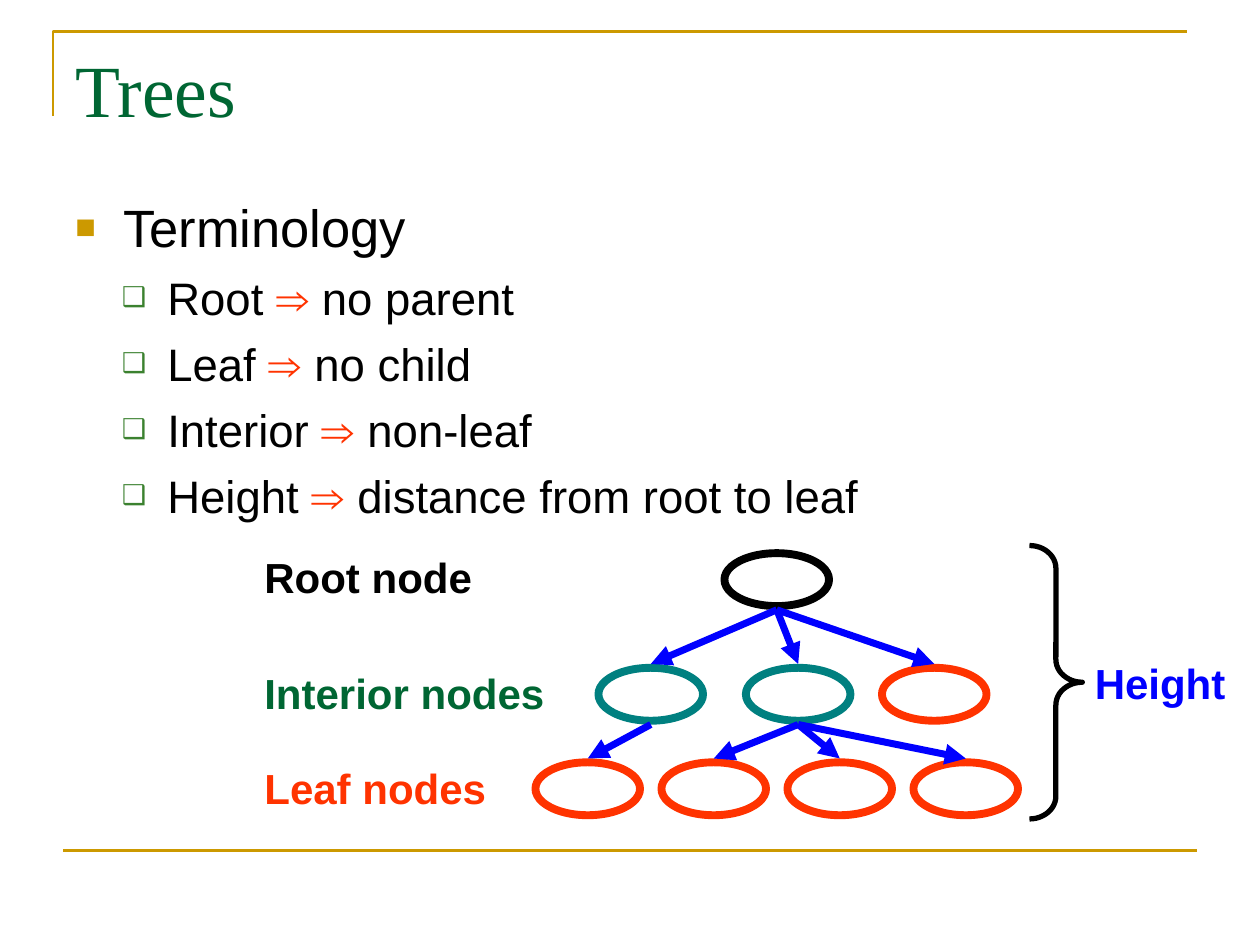
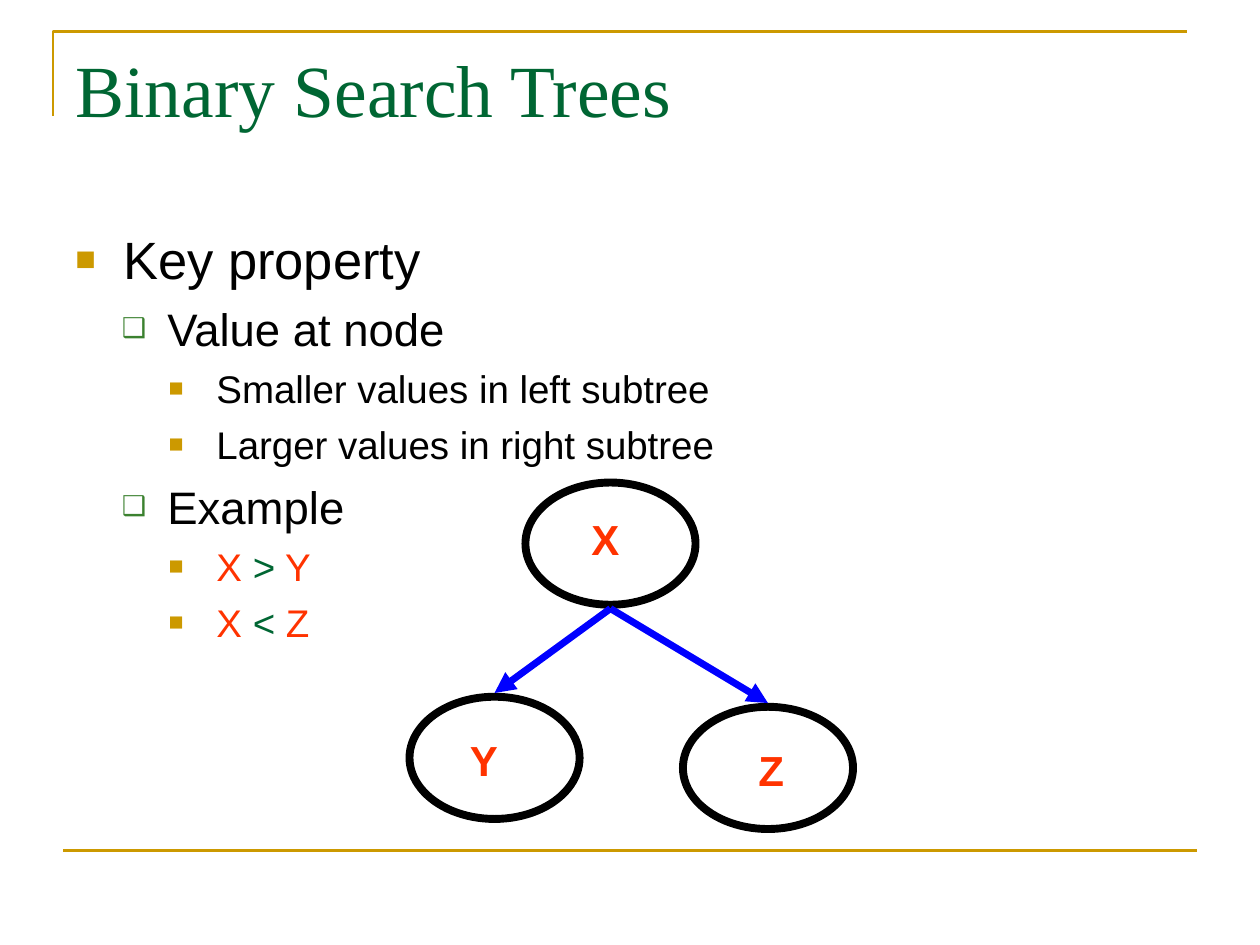
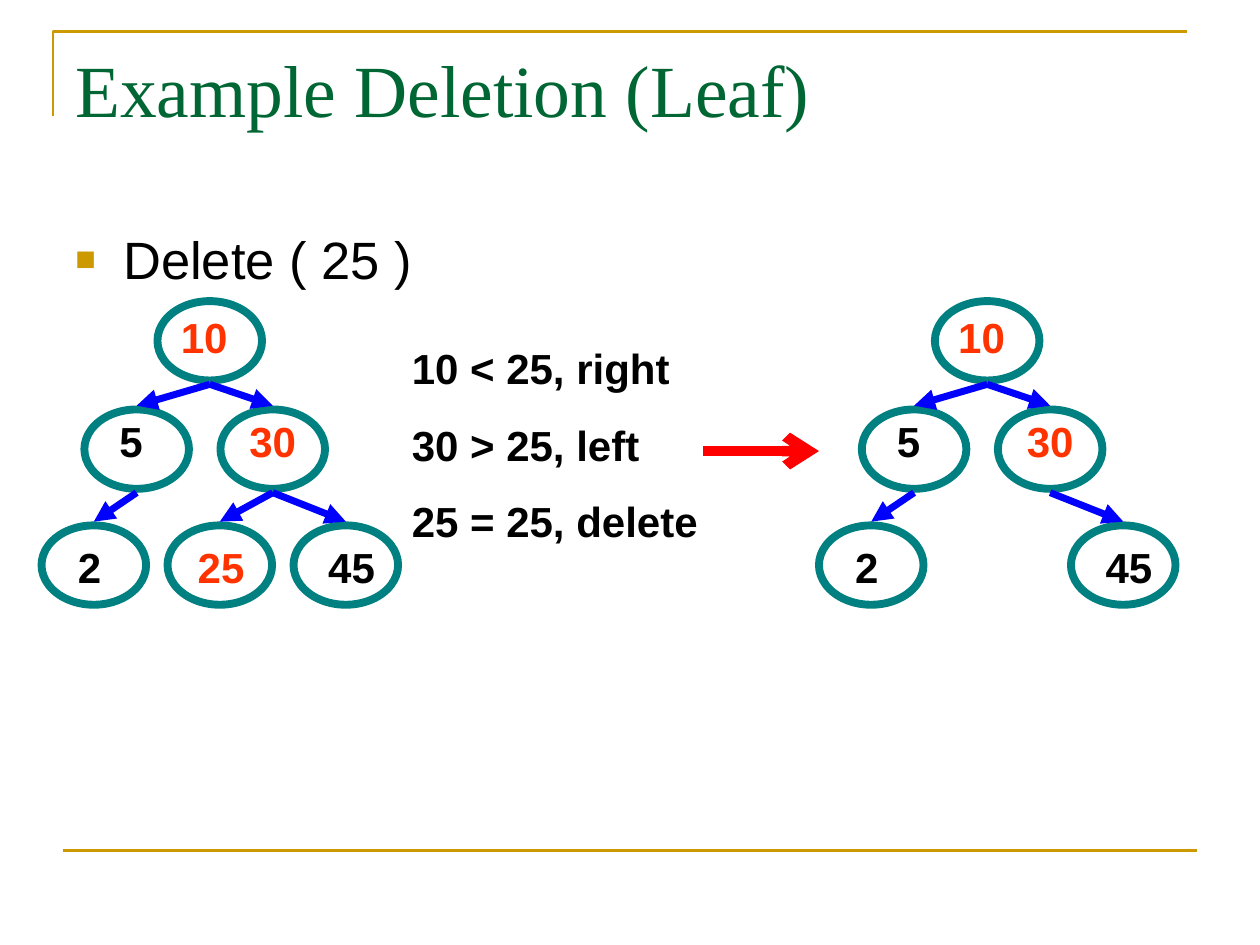
from pptx import Presentation
from pptx.dml.color import RGBColor
from pptx.enum import shapes, text
from pptx.oxml import ns
from pptx.util import Inches, Pt
from lxml import etree

GOLD, GREEN, TEAL = "CC9900", "006633", "008080"
RED, BLUE, BLACK = "FF3300", "0000FF", "000000"
GAP = 0.03  # between a node and the end of its arrow

# size, left margin, hanging indent, space before, bullet, its colour, its percent
LEVELS = [
    (30, 0.38, 0.38, 7.5, "■", GOLD, 65),
    (26, 0.73, 0.36, 6.5, "❑", "3B812F", 60),
    (22, 1.12, 0.38, 5.5, "■", GOLD, 65),
]


def term(name, sense):
    return 1, [(name + " ", BLACK), ("⇒ ", RED), (sense, BLACK)]


def compare(sign, other):
    return 2, [("X ", RED), (sign, GREEN), (" " + other, RED)]


TERMS = [
    (0, "Terminology"),
    term("Root", "no parent"),
    term("Leaf", "no child"),
    term("Interior", "non-leaf"),
    term("Height", "distance from root to leaf"),
]
RULES = [
    (0, "Key property"),
    (1, "Value at node"),
    (2, "Smaller values in left subtree"),
    (2, "Larger values in right subtree"),
    (1, "Example"),
    compare(">", "Y"),
    compare("<", "Z"),
]
KEYS = [  # text, left, top, width, colour
    ("Root node", 2, 4.33, 1.95, BLACK),
    ("Interior nodes", 2, 5.25, 2.5, GREEN),
    ("Leaf nodes", 2, 6, 2.05, RED),
    ("Height", 8.59, 5.17, 1.35, BLUE),
]
STEPS = ["10 < 25, right", "30 > 25, left", "25 = 25, delete"]

# name: left, top, outline
PARTS = {
    "root": (5.75, 4.39, BLACK),
    "in1": (4.75, 5.3, TEAL),
    "in2": (5.92, 5.3, TEAL),
    "leaf0": (7, 5.3, RED),
    **{f"leaf{n}": (3.25 + n, 6.05, RED) for n in range(1, 5)},
}
PART_LINKS = [("root", "in1"), ("root", "in2"), ("root", "leaf0"), ("in1", "leaf1"),
              ("in2", "leaf2"), ("in2", "leaf3"), ("in2", "leaf4")]

# name: left, top, outline, then label colour, offset and width
ORDER = {
    "X": (4.17, 3.83, BLACK, RED, 0.16, 0.2, 0.95),
    "Y": (3.25, 5.53, BLACK, RED, 0.25, 0.25, 0.68),
    "Z": (5.42, 5.61, BLACK, RED, 0.16, 0.25, 1.08),
}
ORDER_LINKS = [("X", "Y"), ("X", "Z")]

BEFORE = {
    "10": (1.25, 2.39, TEAL, RED, 0.08, 0.03, 0.58),
    "5": (0.67, 3.25, TEAL, BLACK, 0.16, 0, 0.42),
    "30": (1.75, 3.25, TEAL, RED, 0.08, 0, 0.67),
    "2": (0.33, 4.17, TEAL, BLACK, 0.17, 0.08, 0.42),
    "25": (1.33, 4.17, TEAL, RED, 0.09, 0.08, 0.67),
    "45": (2.33, 4.17, TEAL, BLACK, 0.17, 0.08, 0.58),
}
LINKS = [("10", "5"), ("10", "30"), ("5", "2"), ("30", "25"), ("30", "45")]
AFTER = {name: node for name, node in BEFORE.items() if name != "25"}


def rgb(code):
    return RGBColor.from_string(code)


def sub(node, tag, **attrs):
    return etree.SubElement(node, ns.qn(tag), attrs)


def box(slide, x, y, w, h):
    frame = slide.shapes.add_textbox(*map(Inches, (x, y, w, h))).text_frame
    frame.word_wrap = True
    return frame


def write(para, words, size=24, font="Arial", color=BLACK, bold=False, before=0, center=False):
    """Fill a paragraph with a string or with (string, colour) runs."""
    para.line_spacing = Pt(size * 1.2)
    para.space_before = Pt(before)
    para.alignment = text.PP_ALIGN.CENTER if center else text.PP_ALIGN.LEFT
    for part, tint in [(words, color)] if isinstance(words, str) else words:
        run = para.add_run()
        run.text = part
        run.font.size, run.font.name, run.font.bold = Pt(size), font, bold
        run.font.color.rgb = rgb(tint)


def paras(frame, items):
    """Yield a paragraph for each item, with True for the first one."""
    for i, item in enumerate(items):
        yield (frame.add_paragraph() if i else frame.paragraphs[0]), item, i == 0


def outline(shape, color, width):
    shape.shadow.inherit = False
    shape.fill.background()
    shape.line.color.rgb, shape.line.width = rgb(color), Pt(width)


def line(slide, start, end, color, width, head=None):
    link = slide.shapes.add_connector(
        shapes.MSO_CONNECTOR.STRAIGHT, *map(Inches, (*start, *end)))
    link.line.color.rgb, link.line.width = rgb(color), Pt(width)
    if head:
        sub(link.line._get_or_add_ln(), "a:tailEnd", type=head)
    sub(link._element.spPr, "a:effectLst")


def bullets(slide, top, items):
    for para, (level, words), first in paras(box(slide, 0.5, top, 9, 4.95), items):
        size, left, hang, before, mark, color, pct = LEVELS[level]
        write(para, words, size=size, before=0 if first else before)
        props = para._p.get_or_add_pPr()
        props.set("marL", str(Inches(left)))
        props.set("indent", str(-Inches(hang)))
        sub(sub(props, "a:buClr"), "a:srgbClr", val=color)
        sub(props, "a:buSzPct", val=str(pct * 1000))
        sub(props, "a:buFont", typeface="Arial")
        sub(props, "a:buChar", char=mark)


def tree(slide, nodes, links, w, h, shift=0):
    for x, y, color, *_ in nodes.values():
        oval = slide.shapes.add_shape(
            shapes.MSO_SHAPE.OVAL, *map(Inches, (x + shift, y, w, h)))
        outline(oval, color, 4.5)
    for up, down in links:
        if up in nodes and down in nodes:
            (x1, y1), (x2, y2) = nodes[up][:2], nodes[down][:2]
            mid = shift + w / 2
            line(slide, (x1 + mid, y1 + h + GAP), (x2 + mid, y2 - GAP), BLUE, 4, "triangle")
    for name, (x, y, _, *label) in nodes.items():
        if label:
            color, dx, dy, wide = label
            frame = box(slide, x + shift + dx, y + dy, wide, 0.5)
            write(frame.paragraphs[0], name, color=color, bold=True, center=True)


def page(deck, title, top, items):
    slide = deck.slides.add_slide(deck.slide_layouts[6])
    pen = slide.shapes.build_freeform(Inches(0.42), Inches(0.92))
    pen.add_line_segments(
        [(Inches(0.42), Inches(0.25)), (Inches(9.42), Inches(0.25))], close=False)
    outline(pen.convert_to_shape(), GOLD, 1.5)
    line(slide, (0.5, 6.75), (9.5, 6.75), GOLD, 1.5)
    write(box(slide, 0.5, 0.3, 9, 1.25).paragraphs[0], title,
          size=42, font="Times New Roman", color=GREEN)
    bullets(slide, top, items)
    return slide


def main():
    deck = Presentation()
    deck.slide_width, deck.slide_height = Inches(10), Inches(7.5)

    slide = page(deck, "Trees", 1.5, TERMS)
    tree(slide, PARTS, PART_LINKS, 0.83, 0.42)
    for words, x, y, w, color in KEYS:
        write(box(slide, x, y, w, 0.5).paragraphs[0], words, color=color, bold=True)
    brace = slide.shapes.add_shape(
        shapes.MSO_SHAPE.RIGHT_BRACE, *map(Inches, (8.17, 4.33, 0.42, 2.17)))
    brace.adjustments[0] = 0.43
    outline(brace, BLACK, 3)

    slide = page(deck, "Binary Search Trees", 1.75, RULES)
    tree(slide, ORDER, ORDER_LINKS, 1.35, 0.97)

    slide = page(deck, "Example Deletion (Leaf)", 1.75, [(0, "Delete ( 25 )")])
    tree(slide, BEFORE, LINKS, 0.83, 0.63)
    for para, words, first in paras(box(slide, 3.17, 2.67, 2.5, 1.72), STEPS):
        write(para, words, bold=True, before=0 if first else 15)
    tree(slide, AFTER, LINKS, 0.83, 0.63, shift=6.17)
    line(slide, (5.58, 3.58), (6.5, 3.58), "FF0000", 6, "arrow")

    deck.save("out.pptx")


if __name__ == "__main__":
    main()
